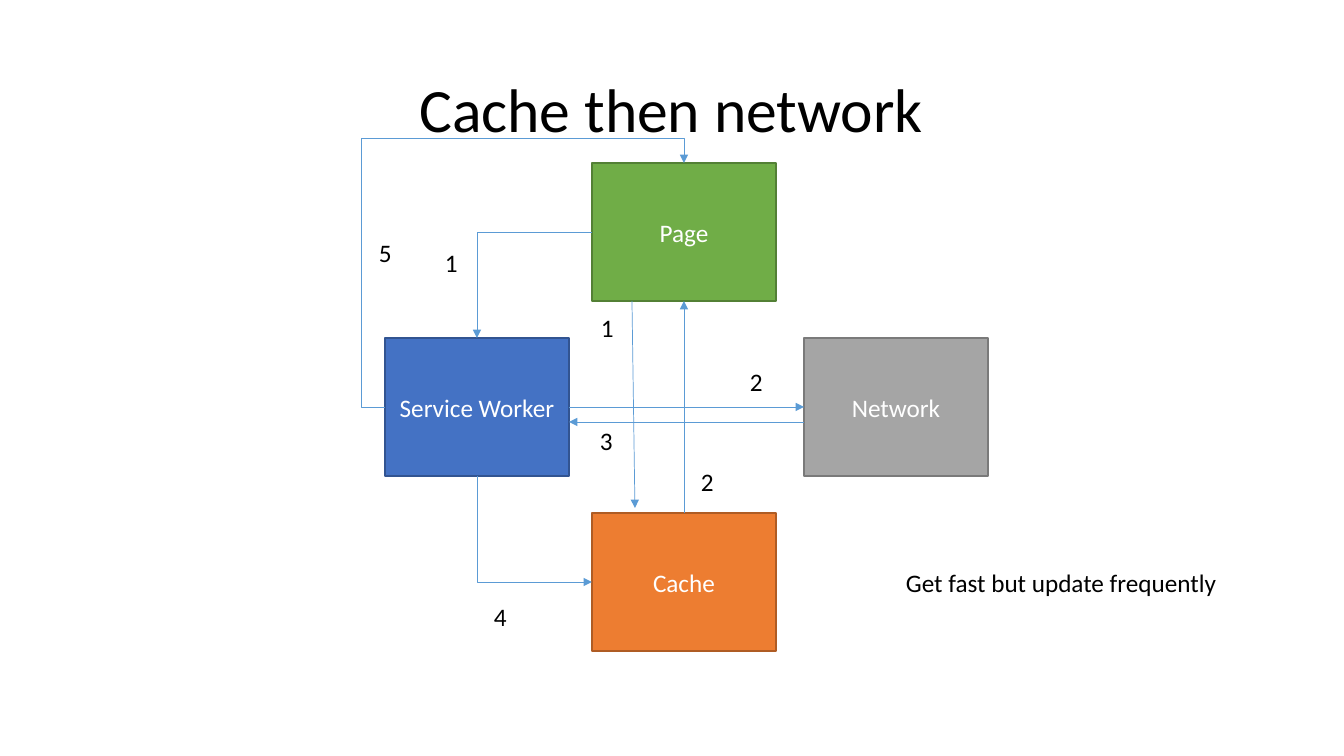
from lxml import etree
from pptx import Presentation, util as u
from pptx.dml.color import RGBColor
from pptx.enum import shapes, text
from pptx.oxml.ns import qn

PX_PER_INCH = 100.8
FONT = "Calibri"
BLACK = RGBColor(0x00, 0x00, 0x00)
WHITE = RGBColor(0xFF, 0xFF, 0xFF)
GREEN, GREEN_EDGE = RGBColor(0x70, 0xAD, 0x47), RGBColor(0x53, 0x80, 0x35)
BLUE, BLUE_EDGE = RGBColor(0x44, 0x72, 0xC4), RGBColor(0x32, 0x54, 0x91)
GREY, GREY_EDGE = RGBColor(0xA5, 0xA5, 0xA5), RGBColor(0x7A, 0x7A, 0x7A)
ORANGE, ORANGE_EDGE = RGBColor(0xED, 0x7D, 0x31), RGBColor(0xAF, 0x5C, 0x24)
ARROW = RGBColor(0x5B, 0x9B, 0xD5)

# Connection sites of a rectangle
TOP, LEFT, BOTTOM, RIGHT = range(4)

# Node grid
NODE_W, NODE_H = 184, 138
WORKER_X, MIDDLE_X, NETWORK_X = 385, 592, 804
ROW_Y = [163 + 175 * row for row in range(3)]

# Step numbers: label, left, top
STEPS = [
    ("1", 591, 307), ("3", 590, 420), ("2", 691, 461), ("1", 435, 242),
    ("2", 740, 361), ("4", 484, 596), ("5", 369, 232),
]


def px(n):
    return u.Emu(round(n * 914400 / PX_PER_INCH))


def write(frame, words, size, color, align):
    paragraph = frame.paragraphs[0]
    paragraph.alignment = align
    run = paragraph.add_run()
    run.text = words
    run.font.size = u.Pt(size)
    run.font.name = FONT
    run.font.color.rgb = color
    return paragraph


def add_title(slide, words):
    frame = slide.shapes.add_textbox(px(92), px(40), px(1159), px(146)).text_frame
    frame.word_wrap = True
    frame.vertical_anchor = text.MSO_ANCHOR.MIDDLE
    write(frame, words, 44, BLACK, text.PP_ALIGN.CENTER).line_spacing = 0.9


def add_label(slide, words, x, y, width=33):
    frame = slide.shapes.add_textbox(px(x), px(y), px(width), px(40)).text_frame
    frame.word_wrap = False
    frame.auto_size = text.MSO_AUTO_SIZE.SHAPE_TO_FIT_TEXT
    write(frame, words, 18, BLACK, text.PP_ALIGN.LEFT)


def add_node(slide, words, x, y, fill, edge):
    node = slide.shapes.add_shape(
        shapes.MSO_SHAPE.RECTANGLE, px(x), px(y), px(NODE_W), px(NODE_H))
    node.shadow.inherit = False
    node.fill.solid()
    node.fill.fore_color.rgb = fill
    node.line.color.rgb = edge
    node.line.width = u.Pt(1)
    node.text_frame.word_wrap = True
    node.text_frame.vertical_anchor = text.MSO_ANCHOR.MIDDLE
    write(node.text_frame, words, 18, WHITE, text.PP_ALIGN.CENTER)
    return node


def add_arrow(slide, start=(0, 0), end=(0, 0), kind=shapes.MSO_CONNECTOR.STRAIGHT):
    arrow = slide.shapes.add_connector(kind, *map(px, start + end))
    arrow.line.color.rgb = ARROW
    arrow.line.width = u.Pt(0.5)
    head = etree.SubElement(arrow.line._get_or_add_ln(), qn("a:tailEnd"))
    head.set("type", "triangle")
    etree.SubElement(arrow._element.spPr, qn("a:effectLst"))
    return arrow


def join(arrow, source, source_side, target, target_side):
    arrow.begin_connect(source, source_side)
    arrow.end_connect(target, target_side)


def add_elbow(slide, source, source_side, target, target_side, preset, adjust=()):
    elbow = add_arrow(slide, kind=shapes.MSO_CONNECTOR.ELBOW)
    join(elbow, source, source_side, target, target_side)
    geometry = elbow._element.spPr.find(qn("a:prstGeom"))
    geometry.set("prst", preset)
    guides = geometry.find(qn("a:avLst"))
    for number, share in enumerate(adjust, 1):
        guide = etree.SubElement(guides, qn("a:gd"))
        guide.set("name", f"adj{number}")
        guide.set("fmla", f"val {round(share * 100000)}")
    return elbow


def turn_down_first(elbow):
    """Make a right-then-down elbow run down, then right."""
    x, y, w, h = elbow.left, elbow.top, elbow.width, elbow.height
    elbow.left, elbow.top = u.Emu(x + (w - h) // 2), u.Emu(y + (h - w) // 2)
    elbow.width, elbow.height = h, w
    frame = elbow._element.spPr.find(qn("a:xfrm"))
    frame.set("rot", str(270 * 60000))
    frame.set("flipH", "1")


def main():
    deck = Presentation()
    deck.slide_width, deck.slide_height = px(1344), px(756)
    slide = deck.slides.add_slide(deck.slide_layouts[6])

    add_title(slide, "Cache then network")

    # Nodes
    page = add_node(slide, "Page", MIDDLE_X, ROW_Y[0], GREEN, GREEN_EDGE)
    worker = add_node(slide, "Service Worker", WORKER_X, ROW_Y[1], BLUE, BLUE_EDGE)
    network = add_node(slide, "Network", NETWORK_X, ROW_Y[1], GREY, GREY_EDGE)
    cache = add_node(slide, "Cache", MIDDLE_X, ROW_Y[2], ORANGE, ORANGE_EDGE)

    # Straight requests and replies
    join(add_arrow(slide), cache, TOP, page, BOTTOM)
    join(add_arrow(slide), worker, RIGHT, network, LEFT)
    add_arrow(slide, (632, 301), (635, 508))
    add_arrow(slide, (NETWORK_X, 422), (WORKER_X + NODE_W, 422))

    # Bent routes around the service worker
    add_elbow(slide, page, LEFT, worker, TOP, "bentConnector2")
    turn_down_first(add_elbow(slide, worker, BOTTOM, cache, LEFT, "bentConnector2"))
    add_elbow(slide, worker, LEFT, page, TOP, "bentConnector4", (-0.08, 1.1))

    # Step numbers and remark
    for step, x, y in STEPS:
        add_label(slide, step, x, y)
    add_label(slide, "Get fast but update frequently", 896, 562, 335)

    deck.save("out.pptx")


if __name__ == "__main__":
    main()
